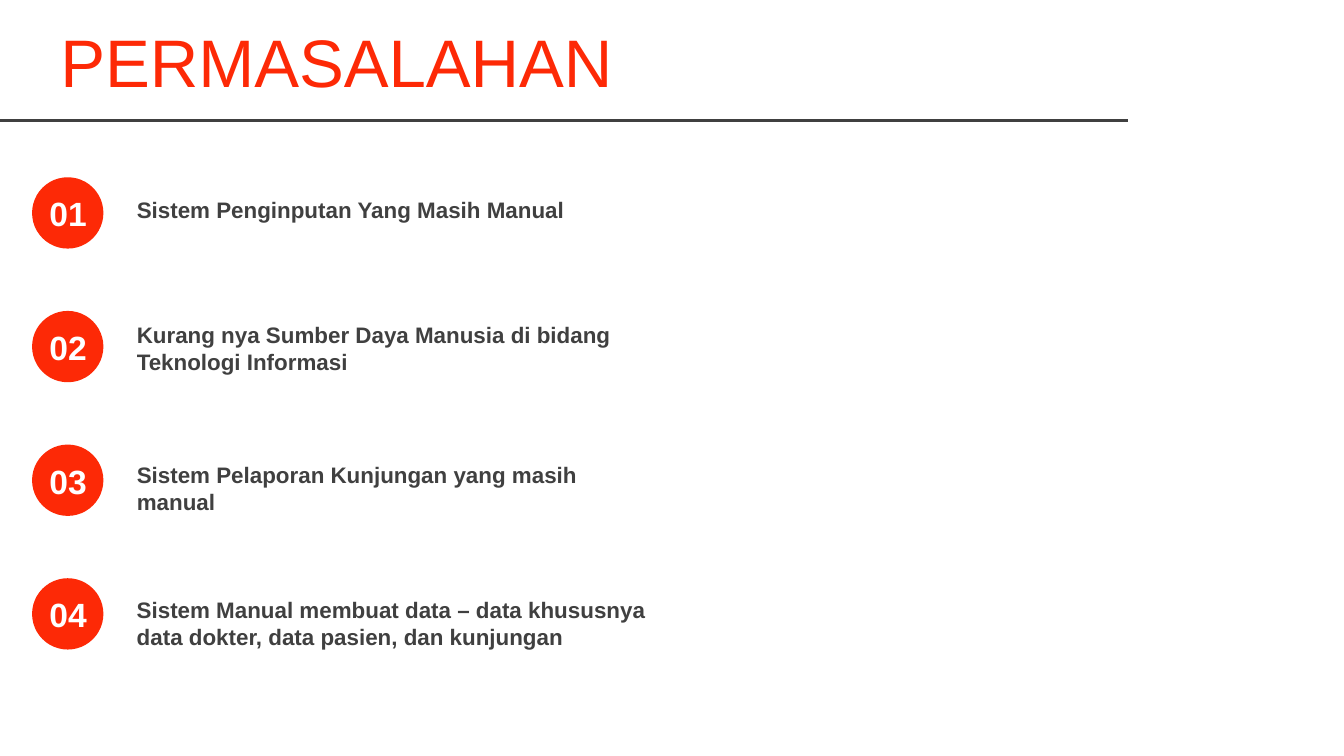
from pptx import Presentation
from pptx.dml.color import RGBColor
from pptx.enum.shapes import MSO_CONNECTOR, MSO_SHAPE
from pptx.enum.text import MSO_ANCHOR, PP_ALIGN
from pptx.oxml.ns import qn
from pptx.util import Pt
from lxml.etree import SubElement

RED = RGBColor(0xFD, 0x29, 0x06)
GREY = RGBColor(0x40, 0x40, 0x40)
WHITE = RGBColor(0xFF, 0xFF, 0xFF)

FONT = "Arial"
BADGE_SIZE = 38.2
ROW_PITCH = 71.6

# Caption, its width and its offset from the top of the row
PROBLEMS = [
    ("Sistem Penginputan Yang Masih Manual", 279.4, 6.5),
    ("Kurang nya Sumber Daya Manusia di bidang Teknologi Informasi", 279.4, 1.9),
    ("Sistem Pelaporan Kunjungan yang masih manual", 279.4, 5.2),
    ("Sistem Manual membuat data – data khususnya "
     "data dokter, data pasien, dan kunjungan", 304.6, 6.3),
]


def add_text(slide, text, left, top, width, height, size, color,
             bold=False, align=PP_ALIGN.LEFT, anchor=MSO_ANCHOR.TOP):
    box = slide.shapes.add_textbox(Pt(left), Pt(top), Pt(width), Pt(height))
    frame = box.text_frame
    frame.word_wrap = True
    frame.vertical_anchor = anchor
    paragraph = frame.paragraphs[0]
    paragraph.alignment = align
    run = paragraph.add_run()
    run.text = text
    run.font.name = FONT
    run.font.size = Pt(size)
    run.font.bold = bold
    run.font.color.rgb = color
    return paragraph


def add_header(slide, left, top, width, height):
    # Rule under the title
    rule_y = Pt(top + height)
    rule = slide.shapes.add_connector(
        MSO_CONNECTOR.STRAIGHT, Pt(left), rule_y, Pt(left + width), rule_y)
    rule.line.color.rgb = GREY
    rule.line.width = Pt(1.5)
    SubElement(rule._element.spPr, qn("a:effectLst"))

    # Title
    title = add_text(slide, "PERMASALAHAN", left + 25.9, top + 10,
                     width - 26.5, 45.4, 36, RED, anchor=MSO_ANCHOR.MIDDLE)
    title.space_before = Pt(4)


def add_problem(slide, number, caption, left, top, caption_width, caption_offset):
    # Round badge
    badge = slide.shapes.add_shape(
        MSO_SHAPE.OVAL, Pt(left), Pt(top), Pt(BADGE_SIZE), Pt(BADGE_SIZE))
    badge.shadow.inherit = False
    badge.fill.solid()
    badge.fill.fore_color.rgb = RED
    badge.line.fill.background()

    # Number and caption
    add_text(slide, f"{number:02d}", left - 2.3, top + 5, 43.2, 28.8,
             18, WHITE, bold=True, align=PP_ALIGN.CENTER)
    add_text(slide, caption, left + 49, top + caption_offset,
             caption_width, 36, 12, GREY, bold=True)


def add_problem_list(slide, left, top):
    for index, (caption, width, offset) in enumerate(PROBLEMS):
        add_problem(slide, index + 1, caption, left, top + index * ROW_PITCH,
                    width, offset)


def main():
    presentation = Presentation()
    presentation.slide_width = Pt(720)
    presentation.slide_height = Pt(405)
    slide = presentation.slides.add_slide(presentation.slide_layouts[6])
    add_header(slide, -0.7, 0, 604.8, 64.4)
    add_problem_list(slide, 17.2, 95)
    presentation.save("out.pptx")


if __name__ == "__main__":
    main()
